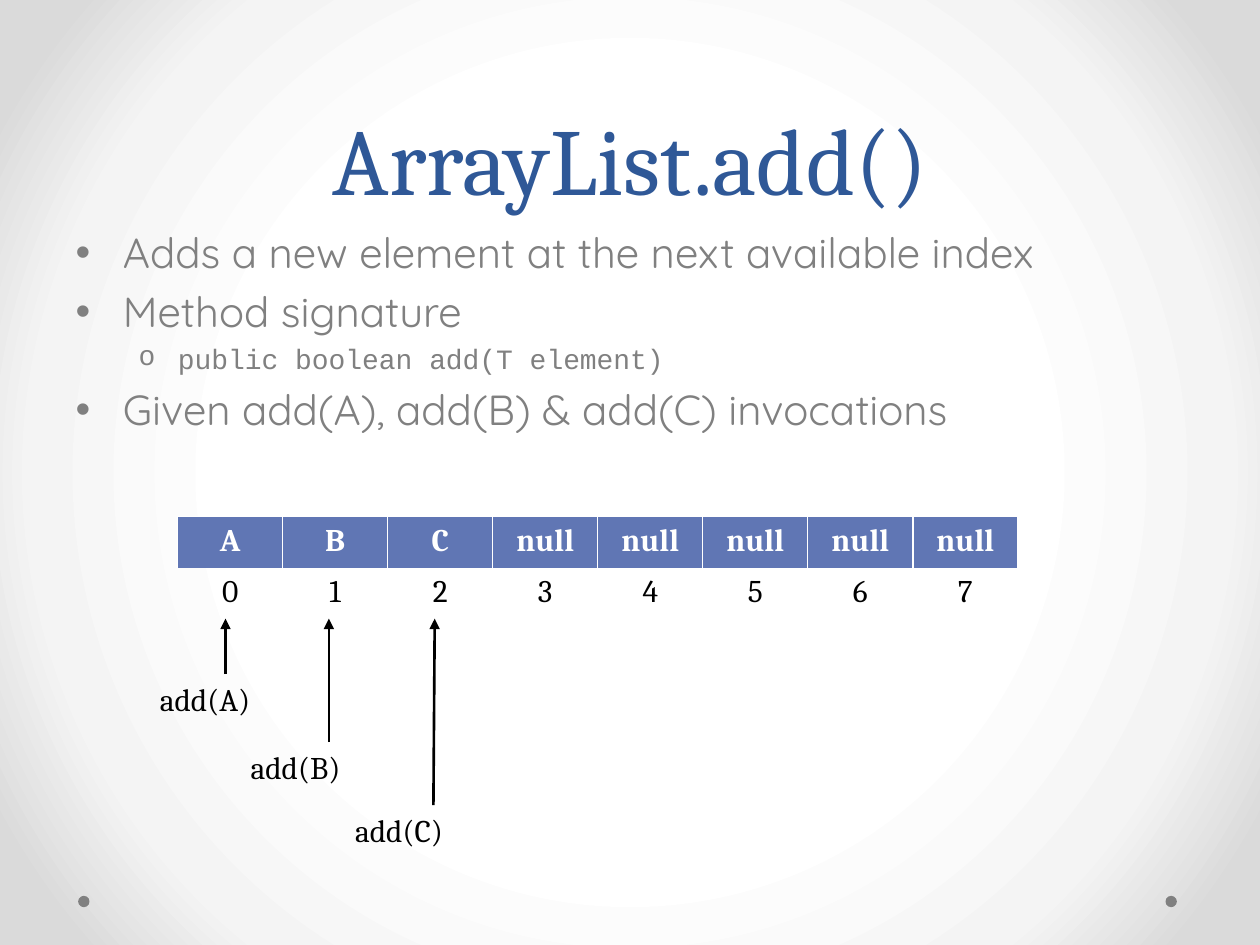
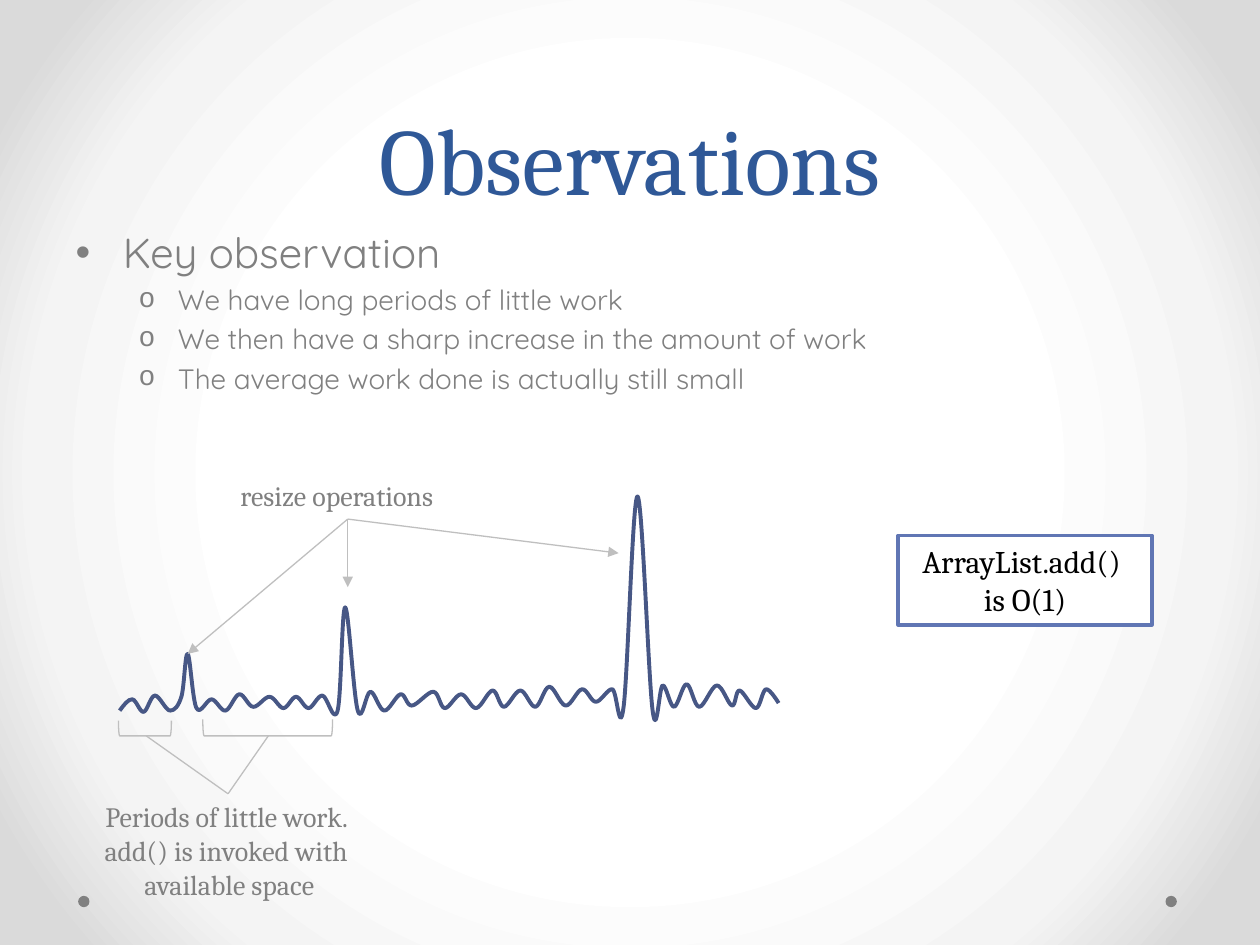
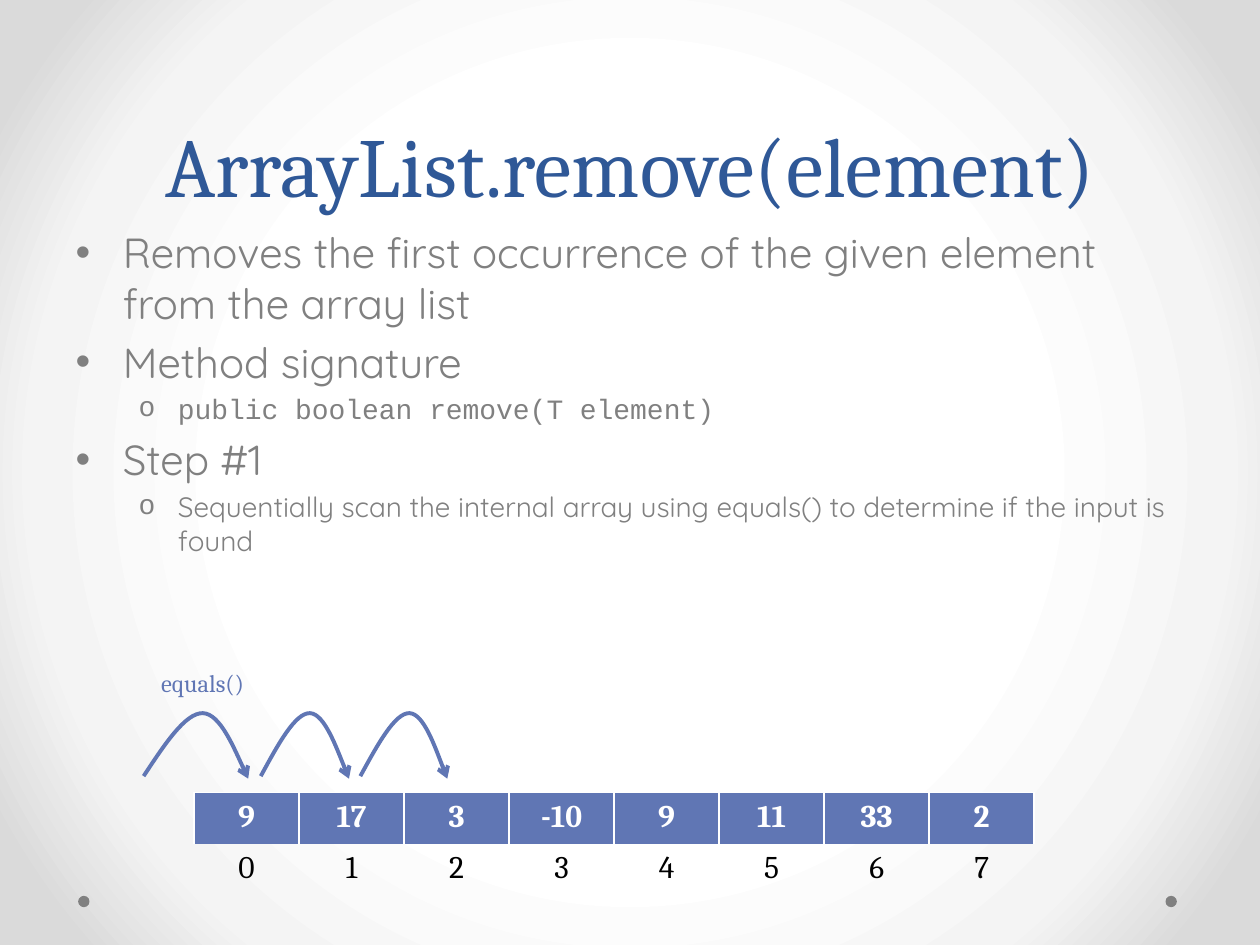
from dataclasses import dataclass

from lxml import etree
from pptx import Presentation
from pptx.dml.color import RGBColor
from pptx.enum.shapes import MSO_CONNECTOR, MSO_SHAPE
from pptx.enum.text import MSO_ANCHOR, MSO_AUTO_SIZE, PP_ALIGN
from pptx.oxml import parse_xml
from pptx.oxml.ns import nsdecls, qn
from pptx.util import Inches, Pt

STRAIGHT = MSO_CONNECTOR.STRAIGHT
OVAL, RECT, BRACKET = MSO_SHAPE.OVAL, MSO_SHAPE.RECTANGLE, MSO_SHAPE.LEFT_BRACKET
LEFT, CENTER = PP_ALIGN.LEFT, PP_ALIGN.CENTER
TOP, MIDDLE, BOTTOM = MSO_ANCHOR.TOP, MSO_ANCHOR.MIDDLE, MSO_ANCHOR.BOTTOM
NO_FIT, GROW = MSO_AUTO_SIZE.NONE, MSO_AUTO_SIZE.SHAPE_TO_FIT_TEXT

COLORS = {
    "title": "2F5897",
    "body": "808080",
    "accent": "6076B4",
    "wave": "475785",
    "pointer": "BFBFBF",
    "black": "000000",
    "white": "FFFFFF",
}
BACKDROP_STOPS = [(50, "FFFFFF"), (76, "F4F4F4"), (92, "DADADA")]
SERIF, SANS, MONO = "Cambria", "Quicksand", "Courier New"
PLAIN_TABLE = "{2D5ABB26-0587-4C30-8999-92F81FD0307C}"

Point = tuple[float, float]


@dataclass
class Bullet:
    """One line of the body list."""
    text: str
    level: int = 0
    font: str = SANS


@dataclass
class Label:
    """A free text with its box."""
    text: str
    box: tuple[float, float, float, float]
    size: int = 18
    color: str = "black"
    align: int = LEFT
    wrap: bool = False


@dataclass
class Arrow:
    """A straight line, with or without a head at its end."""
    start: Point
    end: Point
    color: str = "black"
    width: float = 1.5
    head: str = "triangle"


def rgb(name: str) -> RGBColor:
    """Look a colour up by its role."""
    return RGBColor.from_string(COLORS[name])


def inches(values) -> list[int]:
    """Turn a row of inch values into lengths."""
    return [Inches(value) for value in values]


def write(frame, text: str, *, size: float, color: str, font: str = SERIF,
          bold: bool = False, align: int = LEFT, anchor: int = TOP,
          wrap: bool = True, fit: int = NO_FIT) -> None:
    """Fill a text frame, one paragraph a line, in one format."""
    frame.text = text
    frame.word_wrap = wrap
    frame.auto_size = fit
    frame.vertical_anchor = anchor
    for paragraph in frame.paragraphs:
        paragraph.alignment = align
        for run in paragraph.runs:
            format_run(run, size, color, font, bold)


def format_run(run, size: float, color: str, font: str, bold: bool = False) -> None:
    """Set the font of one run."""
    run.font.size = Pt(size)
    run.font.name = font
    run.font.bold = bold
    run.font.color.rgb = rgb(color)


def set_stroke(shape, color: str, width: float, head: str = "") -> None:
    """Set the line of a shape or connector, with an optional arrowhead."""
    shape.line.color.rgb = rgb(color)
    shape.line.width = Pt(width)
    if head:
        etree.SubElement(shape.line._get_or_add_ln(), qn("a:tailEnd"), type=head)


def style_master(prs) -> None:
    """Give the master its gradient and its second-level bullet."""
    master = prs.slide_master
    stops = "".join(f'<a:gs pos="{pos * 1000}"><a:srgbClr val="{color}"/></a:gs>'
                    for pos, color in BACKDROP_STOPS)
    common = master.element.find(qn("p:cSld"))
    common.remove(common.find(qn("p:bg")))
    common.insert(0, parse_xml(
        f'<p:bg {nsdecls("p", "a")}><p:bgPr><a:gradFill rotWithShape="1">'
        f'<a:gsLst>{stops}</a:gsLst><a:path path="circle">'
        '<a:fillToRect l="50000" t="50000" r="50000" b="50000"/></a:path>'
        '</a:gradFill><a:effectLst/></p:bgPr></p:bg>'))
    second_level = next(master.element.iter(qn("p:bodyStyle"))).find(qn("a:lvl2pPr"))
    second_level.find(qn("a:buFont")).set("typeface", MONO)
    second_level.find(qn("a:buChar")).set("char", "o")


def add_master_dots(prs, slide) -> None:
    """Draw the two footer dots and hand them to the master."""
    tree = prs.slide_master.shapes._spTree
    for number, left in enumerate((9.25, 0.62)):
        dot = slide.shapes.add_shape(OVAL, *inches((left, 7.11, 0.09, 0.09)))
        dot.shadow.inherit = False
        dot.fill.solid()
        dot.fill.fore_color.rgb = rgb("body")
        dot.line.fill.background()
        dot._element.nvSpPr.cNvPr.set("id", str(20 + number))
        tree.append(dot._element)


def add_slide(prs, title: str, bullets: list[Bullet], title_size: int = 54):
    """Add a slide with its title and bullet list."""
    slide = prs.slides.add_slide(prs.slide_layouts[1])
    heading, body = slide.shapes.title, slide.placeholders[1]
    heading.left, heading.top, heading.width, heading.height = inches((0.5, 0, 9, 1.75))
    write(heading.text_frame, title, size=title_size, color="title",
          align=CENTER, anchor=BOTTOM)
    heading.text_frame.paragraphs[0].line_spacing = Pt(58)

    body.left, body.top, body.width, body.height = inches((0.5, 1.75, 9, 4.95))
    frame = body.text_frame
    write(frame, "\n".join(bullet.text for bullet in bullets), size=24, color="body")
    for paragraph, bullet in zip(frame.paragraphs, bullets):
        paragraph.level = bullet.level
        format_run(paragraph.runs[0], 16 if bullet.level else 24, "body", bullet.font)
    return slide


def add_label(slide, label: Label) -> None:
    """Add a free text."""
    box = slide.shapes.add_textbox(*inches(label.box))
    write(box.text_frame, label.text, size=label.size, color=label.color,
          align=label.align, wrap=label.wrap, fit=GROW)


def add_arrow(slide, arrow: Arrow) -> None:
    """Add a straight connector."""
    line = slide.shapes.add_connector(STRAIGHT, *inches(arrow.start + arrow.end))
    set_stroke(line, arrow.color, arrow.width, arrow.head)
    etree.SubElement(line._element.spPr, qn("a:effectLst"))


def add_array(slide, left: float, top: float, values: list[str]) -> None:
    """Add a table of array values above their indexes."""
    frame = slide.shapes.add_table(2, len(values), *inches((left, top, 6.67, 0.81)))
    table = frame.table
    table._tbl.tblPr.find(qn("a:tableStyleId")).text = PLAIN_TABLE
    for index, value in enumerate(values):
        value_cell, index_cell = table.cell(0, index), table.cell(1, index)
        properties = value_cell._tc.get_or_add_tcPr()
        for side in ("lnL", "lnR", "lnT"):
            properties.append(parse_xml(
                f'<a:{side} {nsdecls("a")} w="12700"><a:solidFill>'
                f'<a:srgbClr val="{COLORS["white"]}"/></a:solidFill></a:{side}>'))
        value_cell.fill.solid()
        value_cell.fill.fore_color.rgb = rgb("accent")
        index_cell.fill.background()
        for cell, text, color in ((value_cell, value, "white"),
                                  (index_cell, str(index), "black")):
            write(cell.text_frame, text, size=18, color=color,
                  bold=cell is value_cell, align=CENTER)


def spline_segments(knots: list[Point]) -> list[tuple[Point, Point, Point]]:
    """Give two handles and an end per segment, with tangents from the neighbours."""
    segments = []
    last = len(knots) - 1
    for i in range(last):
        start, end = knots[i], knots[i + 1]
        after = knots[min(i + 2, last)]
        into = end if i + 1 == last else tuple(
            e - (a - s) / 6 for s, e, a in zip(start, end, after))
        if i == 0:
            out = tuple((s + c) / 2 for s, c in zip(start, into))
        else:
            out = tuple(s + (e - b) / 6 for b, s, e in zip(knots[i - 1], start, end))
        segments.append((out, into, end))
    return segments


def add_curve(shapes, knots: list[Point], height: float, color: str,
              head: str = "") -> None:
    """Draw an open smooth curve through the knots."""
    first, *rest = [inches(point) for point in knots]
    builder = shapes.build_freeform(*first)
    builder.add_line_segments(rest, close=False)
    curve = builder.convert_to_shape()
    curve.height = Inches(height)
    outline = next(curve._element.iter(qn("a:path")))
    outline.set("h", str(curve.height))
    for line in outline.findall(qn("a:lnTo")):
        outline.remove(line)
    for segment in spline_segments(knots):
        bend = etree.SubElement(outline, qn("a:cubicBezTo"))
        for x, y in segment:
            etree.SubElement(bend, qn("a:pt"), x=str(Inches(x) - curve.left),
                             y=str(Inches(y) - curve.top))
    curve.shadow.inherit = False
    curve.fill.background()
    set_stroke(curve, color, 2.25, head)


def add_bracket(slide, box: tuple[float, float, float, float]) -> None:
    """Add a bracket that opens upwards."""
    bracket = slide.shapes.add_shape(BRACKET, *inches(box))
    bracket.rotation = 270
    bracket.shadow.inherit = False
    bracket.fill.background()
    set_stroke(bracket, "pointer", 0.75)


def build_add(prs):
    """Build the slide on adding an element."""
    slide = add_slide(prs, "ArrayList.add()", [
        Bullet("Adds a new element at the next available index"),
        Bullet("Method signature"),
        Bullet("public boolean add(T element)", 1, MONO),
        Bullet("Given add(A), add(B) & add(C) invocations"),
    ])
    add_array(slide, 1.41, 4.1, ["A", "B", "C"] + ["null"] * 5)
    calls = [("A", 1.17, 5.35, 1, 1.79, 1.79),
             ("B", 1.89, 5.89, 0.96, 2.61, 2.61),
             ("C", 2.72, 6.39, 1, 3.44, 3.45)]
    for element, left, top, width, _, _ in calls:
        add_label(slide, Label(f"add({element})", (left, top, width, 0.4)))
    for _, _, top, _, foot, tip in calls:
        add_arrow(slide, Arrow((foot, top), (tip, 4.91)))
    return slide


WORK_CURVE = [
    (0.95, 5.64), (1.05, 5.55), (1.14, 5.65), (1.23, 5.52), (1.35, 5.64), (1.44, 5.53),
    (1.49, 5.19), (1.56, 5.62), (1.68, 5.55), (1.79, 5.64), (1.9, 5.51), (2.01, 5.61),
    (2.14, 5.53), (2.25, 5.62), (2.35, 5.53), (2.45, 5.62), (2.56, 5.52), (2.68, 5.64),
    (2.74, 4.82), (2.84, 5.64), (2.94, 5.49), (3.05, 5.64), (3.18, 5.51), (3.27, 5.6),
    (3.44, 5.49), (3.53, 5.62), (3.66, 5.51), (3.78, 5.62), (3.91, 5.48), (4, 5.61),
    (4.13, 5.48), (4.25, 5.61), (4.36, 5.45), (4.49, 5.6), (4.62, 5.47), (4.73, 5.57),
    (4.86, 5.47), (4.95, 5.61), (5.06, 3.94), (5.18, 5.64), (5.26, 5.44), (5.35, 5.61),
    (5.45, 5.43), (5.55, 5.61), (5.69, 5.44), (5.81, 5.6), (5.87, 5.48), (6, 5.62),
    (6.08, 5.47), (6.18, 5.58),
]


def build_observations(prs) -> None:
    """Build the slide on the amount of work over time."""
    slide = add_slide(prs, "Observations", [
        Bullet("Key observation"),
        Bullet("We have long periods of little work", 1),
        Bullet("We then have a sharp increase in the amount of work", 1),
        Bullet("The average work done is actually still small ", 1),
    ])
    add_curve(slide.shapes, WORK_CURVE, 1.78, "wave")
    add_label(slide, Label("resize operations", (1.81, 3.75, 1.89, 0.37), 16, "body"))
    add_label(slide, Label(
        "Periods of little work. \nadd() is invoked with \navailable space",
        (0.61, 6.3, 2.42, 0.91), 16, "body", CENTER, True))
    for peak in ((1.49, 5.19), (2.76, 4.66), (4.91, 4.39)):
        add_arrow(slide, Arrow((2.76, 4.12), peak, "pointer", 0.75))
    for box, middle in (((1.09, 5.57, 0.12, 0.42), 1.16),
                        ((2.06, 5.26, 0.13, 1.03), 2.13)):
        add_bracket(slide, box)
        add_arrow(slide, Arrow((middle, 5.84), (1.81, 6.3), "pointer", 0.75, ""))

    verdict = slide.shapes.add_shape(RECT, *inches((7.13, 4.25, 2.01, 0.71)))
    verdict.shadow.inherit = False
    verdict.fill.solid()
    verdict.fill.fore_color.rgb = rgb("white")
    set_stroke(verdict, "accent", 2.25)
    write(verdict.text_frame, "ArrayList.add() \nis O(1)", size=18, color="black",
          align=CENTER, anchor=MIDDLE, wrap=False, fit=GROW)


def build_remove(prs) -> None:
    """Build the slide on removing an element."""
    slide = add_slide(prs, "ArrayList.remove(element)", [
        Bullet("Removes the first occurrence of the given element from the array list"),
        Bullet("Method signature"),
        Bullet("public boolean remove(T element)", 1, MONO),
        Bullet("Step #1"),
        Bullet("Sequentially scan the internal array using equals() "
               "to determine if the input is found", 1),
    ], title_size=48)
    add_array(slide, 1.54, 6.29, ["9", "17", "3", "-10", "9", "11", "33", "2"])
    hops = slide.shapes.add_group_shape()
    for start, top, end in ((1.14, 1.61, 1.97), (2.07, 2.46, 2.77), (2.86, 3.25, 3.55)):
        add_curve(hops.shapes, [(start, 6.16), (top, 5.66), (end, 6.18)], 0.52,
                  "accent", "arrow")
    add_label(slide, Label("equals()", (1.18, 5.25, 0.89, 0.34), 14, "accent"))


def main() -> None:
    """Build and save the presentation."""
    prs = Presentation()
    prs.slide_width, prs.slide_height = Inches(10), Inches(7.5)
    style_master(prs)
    add_master_dots(prs, build_add(prs))
    build_observations(prs)
    build_remove(prs)
    prs.save("out.pptx")


main()
